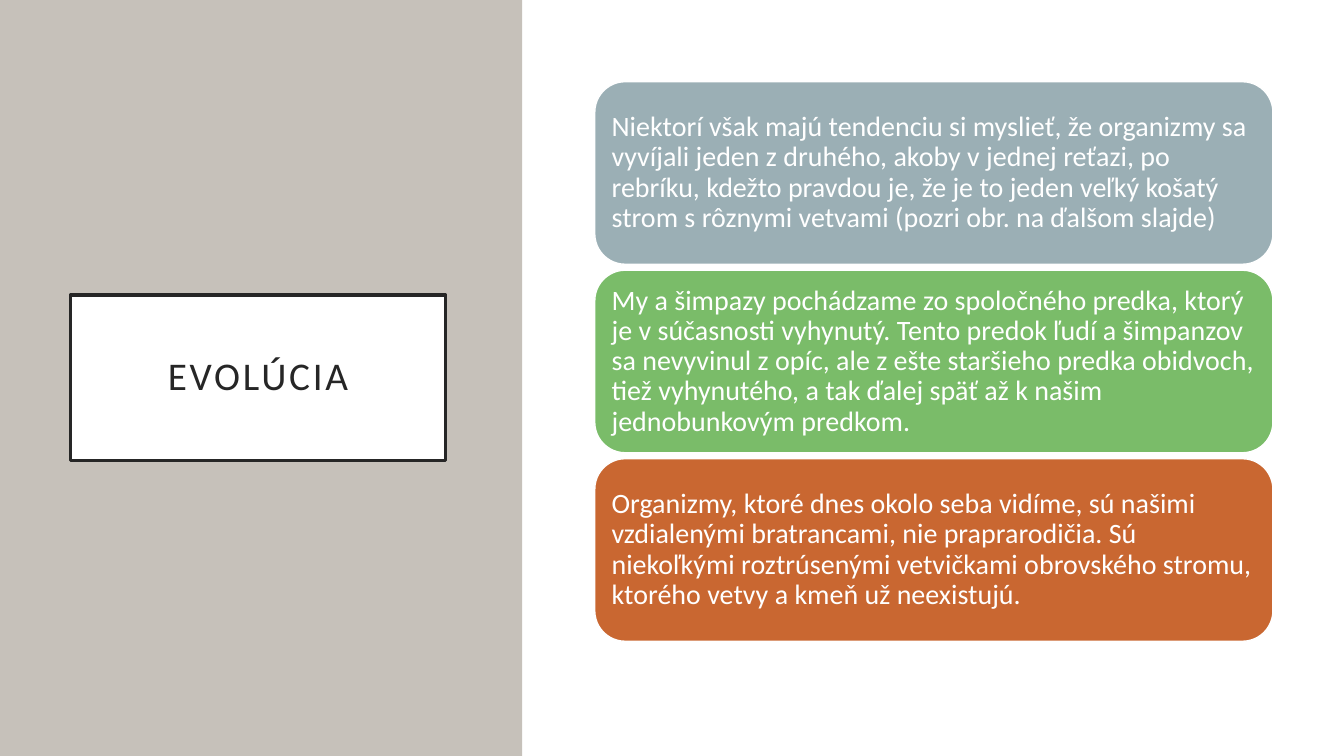
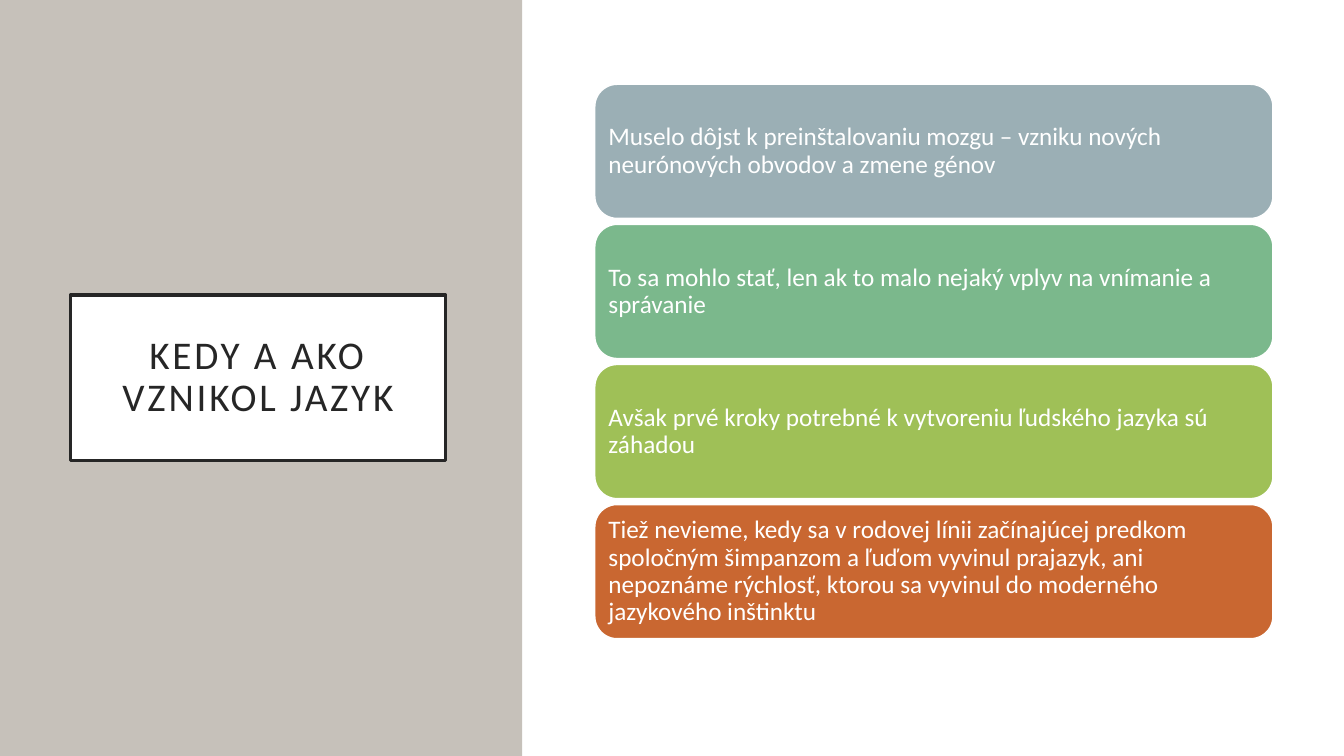
from dataclasses import dataclass

from pptx import Presentation
from pptx.dml.color import RGBColor
from pptx.enum.shapes import MSO_SHAPE
from pptx.enum.text import MSO_ANCHOR, PP_ALIGN
from pptx.util import Cm, Pt

RECTANGLE = MSO_SHAPE.RECTANGLE
ROUNDED = MSO_SHAPE.ROUNDED_RECTANGLE
MIDDLE = MSO_ANCHOR.MIDDLE
LEFT, CENTER = PP_ALIGN.LEFT, PP_ALIGN.CENTER
BLANK_LAYOUT = 6


@dataclass(frozen=True)
class Theme:
    font: str = "Calibri"
    white: str = "FFFFFF"
    ink: str = "262626"
    sand: str = "C6C1BA"
    slate: str = "9BAFB5"
    sage: str = "7BB88C"
    green: str = "7ABC69"
    lime: str = "9FC057"
    rust: str = "C96731"
    title_size: int = 28
    title_tracking: int = 200  # hundredths of a point
    title_border: float = 2.5
    card_border: float = 1
    line_spacing: float = 0.9
    space_after: float = 0.35  # share of the type size


@dataclass(frozen=True)
class Box:
    left: float
    top: float
    width: float
    height: float


@dataclass(frozen=True)
class CardStyle:
    size: int
    height: float
    inset: float


THEME = Theme()
SLIDE = Box(0, 0, 33.87, 19.05)
SIDE_PANEL = Box(0, 0, 13.16, SLIDE.height)
CARD_COLUMN = Box(14.99, 2.06, 17.09, 14.1)
CARD_GAP = 0.15
LARGE_CARDS = CardStyle(size=20, height=4.6, inset=0.2)
SMALL_CARDS = CardStyle(size=18, height=3.38, inset=0.18)

SLIDES = [
    ("EVOLÚCIA", LARGE_CARDS, [
        (THEME.slate, "Niektorí však majú tendenciu si myslieť, že organizmy sa "
         "vyvíjali jeden z druhého, akoby v jednej reťazi, po rebríku, kdežto "
         "pravdou je, že je to jeden veľký košatý strom s rôznymi vetvami "
         "(pozri obr. na ďalšom slajde)"),
        (THEME.green, "My a šimpazy pochádzame zo spoločného predka, ktorý je v "
         "súčasnosti vyhynutý. Tento predok ľudí a šimpanzov sa nevyvinul z "
         "opíc, ale z ešte staršieho predka obidvoch, tiež vyhynutého, a tak "
         "ďalej späť až k našim jednobunkovým predkom."),
        (THEME.rust, "Organizmy, ktoré dnes okolo seba vidíme, sú našimi "
         "vzdialenými bratrancami, nie praprarodičia. Sú niekoľkými "
         "roztrúsenými vetvičkami obrovského stromu, ktorého vetvy a kmeň už "
         "neexistujú."),
    ]),
    ("KEDY A AKO VZNIKOL JAZYK", SMALL_CARDS, [
        (THEME.slate, "Muselo dôjst k preinštalovaniu mozgu – vzniku nových "
         "neurónových obvodov a zmene génov"),
        (THEME.sage, "To sa mohlo stať, len ak to malo nejaký vplyv na vnímanie "
         "a správanie"),
        (THEME.lime, "Avšak prvé kroky potrebné k vytvoreniu ľudského jazyka sú "
         "záhadou"),
        (THEME.rust, "Tiež nevieme, kedy sa v rodovej línii začínajúcej predkom "
         "spoločným šimpanzom a ľuďom vyvinul prajazyk, ani nepoznáme "
         "rýchlosť, ktorou sa vyvinul do moderného jazykového inštinktu"),
    ]),
]


def add_block(slide, kind, box, fill, border=None, border_width=0):
    block = slide.shapes.add_shape(
        kind, Cm(box.left), Cm(box.top), Cm(box.width), Cm(box.height))
    block.shadow.inherit = False
    block.fill.solid()
    block.fill.fore_color.rgb = RGBColor.from_string(fill)
    if border:
        block.line.color.rgb = RGBColor.from_string(border)
        block.line.width = Pt(border_width)
    else:
        block.line.fill.background()
    return block


def write_text(block, text, size, color, align, inset):
    frame = block.text_frame
    frame.word_wrap = True
    frame.vertical_anchor = MIDDLE
    frame.margin_left = frame.margin_right = Cm(inset)
    frame.margin_top = frame.margin_bottom = Cm(inset)
    paragraph = frame.paragraphs[0]
    paragraph.alignment = align
    paragraph.line_spacing = THEME.line_spacing
    run = paragraph.add_run()
    run.text = text
    run.font.name = THEME.font
    run.font.size = Pt(size)
    run.font.color.rgb = RGBColor.from_string(color)
    return paragraph, run


def add_title_panel(slide, panel, title):
    """Sand band with the framed title halfway down."""
    add_block(slide, RECTANGLE, panel, THEME.sand)
    height = 4.17
    frame_box = Box(panel.left + 1.78, panel.top + (panel.height - height) / 2,
                    9.45, height)
    title_frame = add_block(slide, RECTANGLE, frame_box, THEME.white,
                            THEME.ink, THEME.title_border)
    _, run = write_text(title_frame, title, THEME.title_size, THEME.ink,
                        CENTER, inset=0.5)
    run.font._element.set("spc", str(THEME.title_tracking))


def add_card_stack(slide, column, cards, style):
    """Equal cards, centred vertically in the column."""
    pitch = style.height + CARD_GAP
    stack_height = len(cards) * pitch - CARD_GAP
    first_top = column.top + (column.height - stack_height) / 2
    for index, (color, text) in enumerate(cards):
        card_box = Box(column.left, first_top + index * pitch,
                       column.width, style.height)
        card = add_block(slide, ROUNDED, card_box, color,
                         THEME.white, THEME.card_border)
        paragraph, _ = write_text(card, text, style.size, THEME.white,
                                  LEFT, style.inset)
        paragraph.space_after = Pt(style.size * THEME.space_after)


def main():
    deck = Presentation()
    deck.slide_width, deck.slide_height = Cm(SLIDE.width), Cm(SLIDE.height)
    for title, style, cards in SLIDES:
        slide = deck.slides.add_slide(deck.slide_layouts[BLANK_LAYOUT])
        add_title_panel(slide, SIDE_PANEL, title)
        add_card_stack(slide, CARD_COLUMN, cards, style)
    deck.save("out.pptx")


if __name__ == "__main__":
    main()
